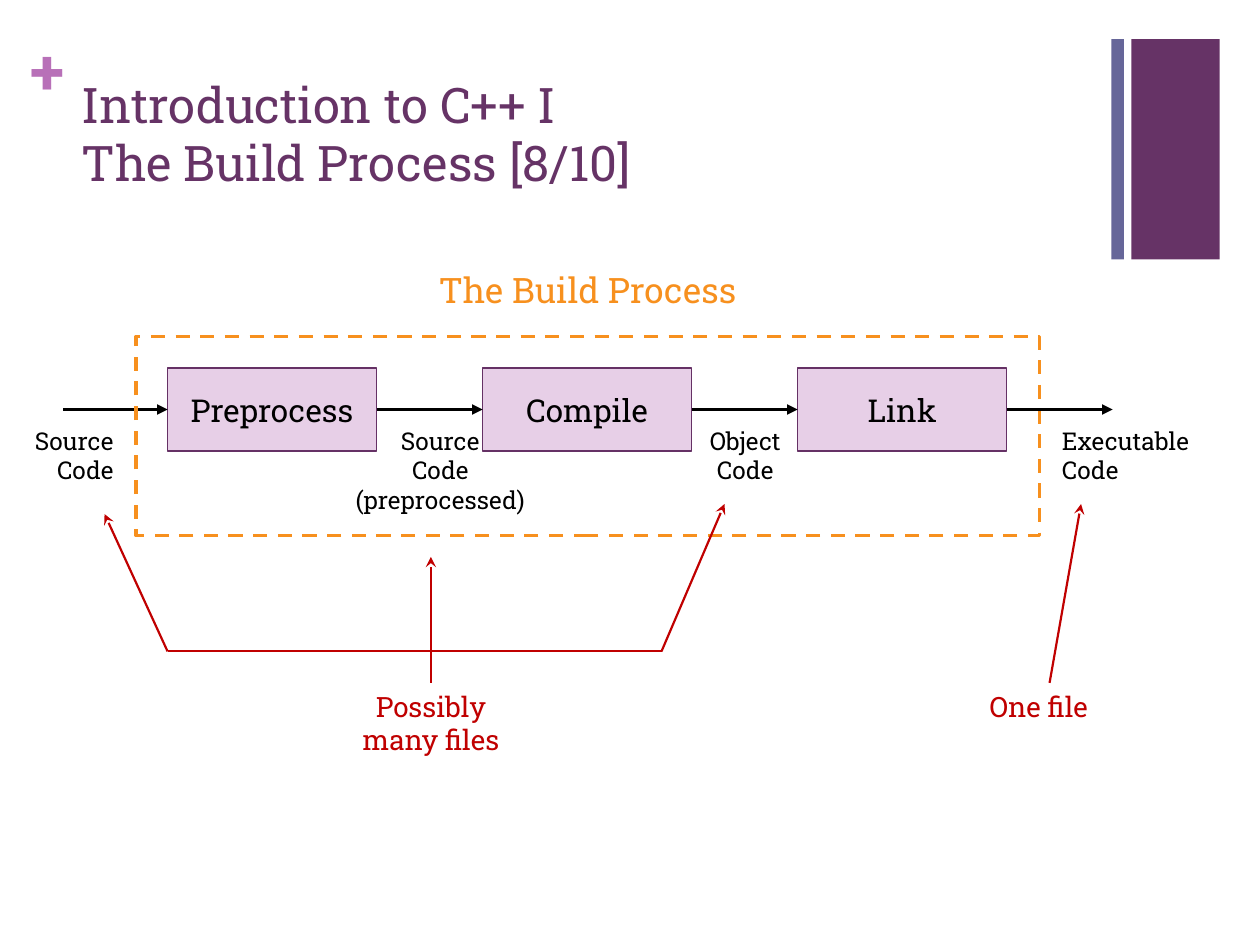
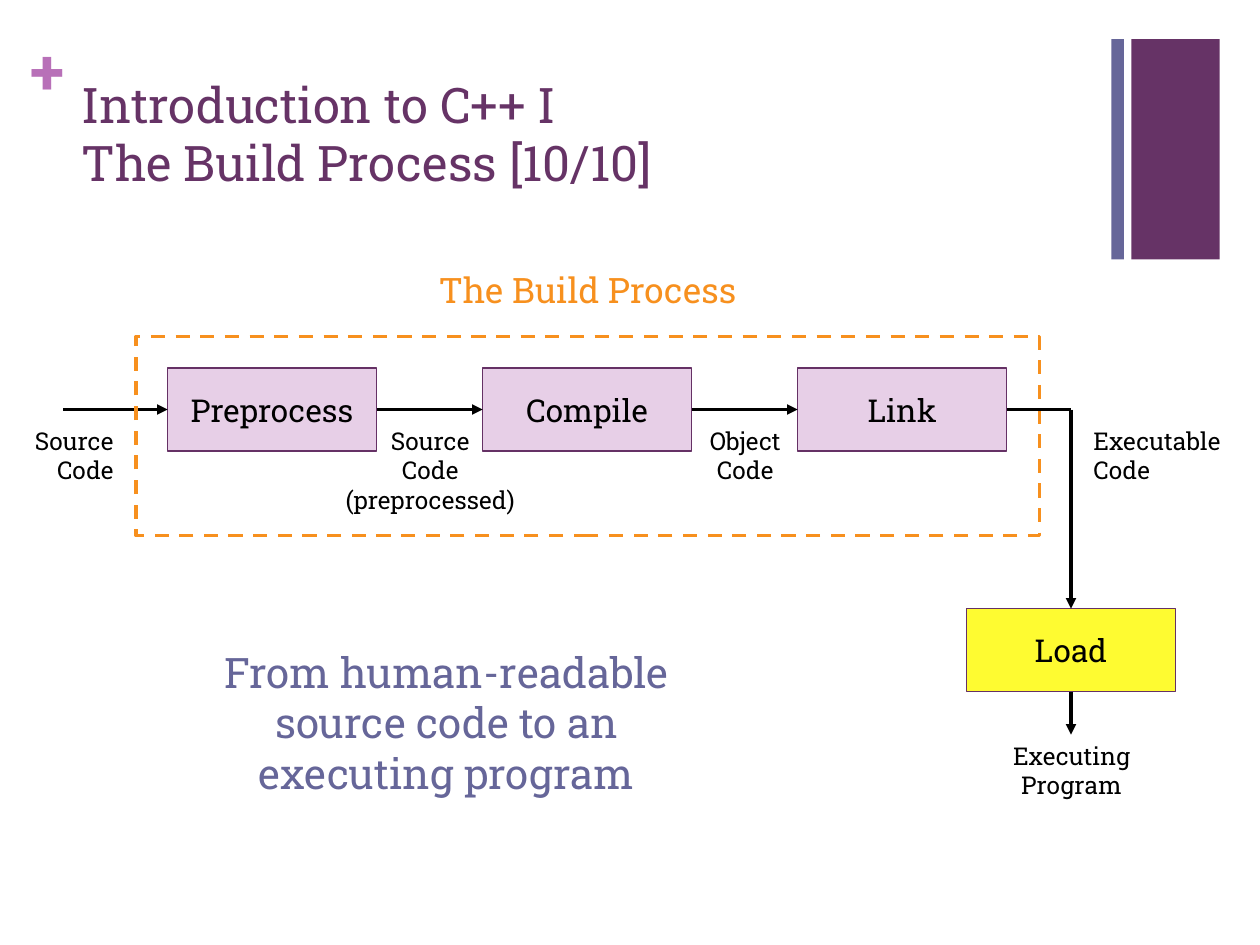
from typing import NamedTuple, Union

from lxml.etree import SubElement
from pptx import Presentation
from pptx.dml.color import RGBColor as RGB
from pptx.enum.dml import MSO_LINE as Dash
from pptx.enum.shapes import MSO_CONNECTOR as Wire, MSO_SHAPE as Form
from pptx.enum.text import MSO_ANCHOR as Anchor, MSO_AUTO_SIZE as Fit, PP_ALIGN as Align
from pptx.oxml.ns import qn
from pptx.util import Inches, Pt

FONT = "Roboto Slab"
INK = {
    "plum": "663366", "slate": "666699", "plus": "B870B8", "edge": "653165",
    "lilac": "E7CFE7", "yellow": "FEFB31", "orange": "F7901E",
    "red": "C00000", "black": "000000",
}
BOX_W, BOX_H = 1.66, 0.66
ROW_Y = 3.25  # height of the main flow line
STEPS = ("Preprocess", "Compile", "Link")
STEP_X, STEP_GAP = 1.33, 2.5


class Area(NamedTuple):
    x: float
    y: float
    w: float
    h: float

    def emu(self) -> list:
        return [Inches(v) for v in self]


class Label(NamedTuple):
    text: str
    area: Area
    size: int = 14
    ink: str = "black"
    align: Align = Align.CENTER


class Spot(NamedTuple):
    x: float
    y: float


class Dock(NamedTuple):
    shape: object
    side: int  # 0 top, 1 left, 2 bottom, 3 right


class Line(NamedTuple):
    start: Union[Spot, Dock]
    end: Union[Spot, Dock]
    head: str = "triangle"
    ink: str = "black"
    width: float = 2


def color(name: str) -> RGB:
    return RGB.from_string(INK[name])


def write(shape, label: Label, bold: bool = False) -> None:
    style = {"name": FONT, "size": Pt(label.size), "bold": bold}
    shape.text_frame.text = label.text
    for para in shape.text_frame.paragraphs:
        para.alignment = label.align
        for run in para.runs:
            for key, value in style.items():
                setattr(run.font, key, value)
            run.font.color.rgb = color(label.ink)


def add_label(slide, label: Label, bold: bool = False, **frame):
    box = slide.shapes.add_textbox(*label.area.emu())
    style = {"word_wrap": True, "auto_size": Fit.SHAPE_TO_FIT_TEXT, **frame}
    for key, value in style.items():
        setattr(box.text_frame, key, value)
    write(box, label, bold)


def add_rect(slide, area: Area, fill: str = "", edge: str = "", width: float = 1):
    rect = slide.shapes.add_shape(Form.RECTANGLE, *area.emu())
    rect.shadow.inherit = False
    if fill:
        rect.fill.solid()
        rect.fill.fore_color.rgb = color(fill)
    else:
        rect.fill.background()
    if edge:
        rect.line.color.rgb = color(edge)
        rect.line.width = Pt(width)
    else:
        rect.line.fill.background()
    return rect


def add_step(slide, text: str, x: float, y: float, fill: str = "lilac"):
    area = Area(x, y, BOX_W, BOX_H)
    rect = add_rect(slide, area, fill, "edge")
    rect.text_frame.vertical_anchor = Anchor.MIDDLE
    write(rect, Label(text, area, 18))
    return rect


def locate(end: Union[Spot, Dock]) -> tuple:
    if isinstance(end, Spot):
        return Inches(end.x), Inches(end.y)
    box = end.shape
    dx, dy = ((0.5, 0), (0, 0.5), (0.5, 1), (1, 0.5))[end.side]
    return box.left + int(box.width * dx), box.top + int(box.height * dy)


def add_line(slide, line: Line) -> None:
    wire = slide.shapes.add_connector(
        Wire.STRAIGHT, *locate(line.start), *locate(line.end))
    if isinstance(line.start, Dock):
        wire.begin_connect(*line.start)
    if isinstance(line.end, Dock):
        wire.end_connect(*line.end)
    wire.line.color.rgb = color(line.ink)
    wire.line.width = Pt(line.width)
    if line.head:
        SubElement(wire.line._get_or_add_ln(), qn("a:tailEnd"), type=line.head)
    SubElement(wire._element.spPr, qn("a:effectLst"))


def add_base(deck, page: str):
    """Add a slide with the shared bands, plus sign and title."""
    slide = deck.slides.add_slide(deck.slide_layouts[6])
    add_rect(slide, Area(8.98, 0.31, 0.7, 1.75), "plum")
    add_rect(slide, Area(8.82, 0.31, 0.1, 1.75), "slate")
    sides = ("left", "top", "right", "bottom")
    add_label(slide, Label("+", Area(0.24, 0.25, 0.29, 0.61), 36, "plus", Align.LEFT),
              bold=True, **{f"margin_{side}": 0 for side in sides})
    add_label(slide, Label(f"Introduction to C++ I\vThe Build Process [{page}]",
                           Area(0.55, 0.53, 8.26, 1.05), 28, "plum", Align.LEFT),
              auto_size=Fit.NONE, vertical_anchor=Anchor.MIDDLE)
    return slide


def add_flow(slide, mid_w: float, out_x: float):
    """Draw the build steps and their labels; return the last step."""
    steps = [add_step(slide, text, STEP_X + i * STEP_GAP, ROW_Y - BOX_H / 2)
             for i, text in enumerate(STEPS)]
    add_line(slide, Line(Spot(0.5, ROW_Y), Dock(steps[0], 1)))
    for left, right in zip(steps, steps[1:]):
        add_line(slide, Line(Dock(left, 3), Dock(right, 1)))
    top = 3.33
    for label in (
        Label("Source Code", Area(0.08, top, 0.92, 0.57), align=Align.RIGHT),
        Label("Source\vCode\n(preprocessed)", Area(2.58, top, mid_w, 0.81)),
        Label("Object\vCode", Area(5.25, top, 1.33, 0.57)),
        Label("Executable\vCode", Area(out_x, top, 1.33, 0.57), align=Align.LEFT),
        Label("The Build Process", Area(3.33, 2.08, 2.67, 0.44), 20, "orange"),
    ):
        add_label(slide, label)
    frame = add_rect(slide, Area(1.08, 2.67, 7.17, 1.58), edge="orange", width=2)
    frame.line.dash_style = Dash.DASH
    return steps[-1]


def add_files(deck) -> None:
    slide = add_base(deck, "8/10")
    link = add_flow(slide, 1.83, 8.33)
    add_line(slide, Line(Dock(link, 3), Spot(8.83, ROW_Y)))

    # Notes on the number of files
    add_label(slide, Label("Possibly many files", Area(2.67, 5.42, 1.5, 0.64), 16, "red"))
    add_label(slide, Label("One file", Area(7.33, 5.42, 1.83, 0.37), 16, "red"))
    left, mid, right = (Spot(x, 5.17) for x in (1.33, 3.42, 5.25))
    for start, end, head in (
        (Spot(3.42, 5.42), mid, ""),
        (left, right, ""),
        (right, Spot(5.75, 4), "stealth"),
        (left, Spot(0.83, 4.08), "stealth"),
        (mid, Spot(3.42, 4.42), "stealth"),
        (Spot(8.33, 5.42), Spot(8.58, 4), "stealth"),
    ):
        add_line(slide, Line(start, end, head, "red", 1.25))


def add_load(deck) -> None:
    slide = add_base(deck, "10/10")
    link = add_flow(slide, 1.67, 8.58)

    # Loading and running
    load = add_step(slide, "Load", 7.67, 4.83, "yellow")
    turn = Spot(8.5, ROW_Y)
    add_line(slide, Line(Dock(link, 3), turn, ""))
    add_line(slide, Line(turn, Dock(load, 0)))
    add_line(slide, Line(Dock(load, 2), Spot(8.5, 5.83)))
    add_label(slide, Label("Executing Program", Area(7.67, 5.83, 1.67, 0.57)))
    add_label(slide, Label("From human-readable source code to an executing program",
                           Area(1.67, 5.08, 3.75, 1.31), 24, "slate"))


def main() -> None:
    deck = Presentation()
    deck.slide_width, deck.slide_height = Inches(10), Inches(7.5)
    add_files(deck)
    add_load(deck)
    deck.save("out.pptx")


if __name__ == "__main__":
    main()
